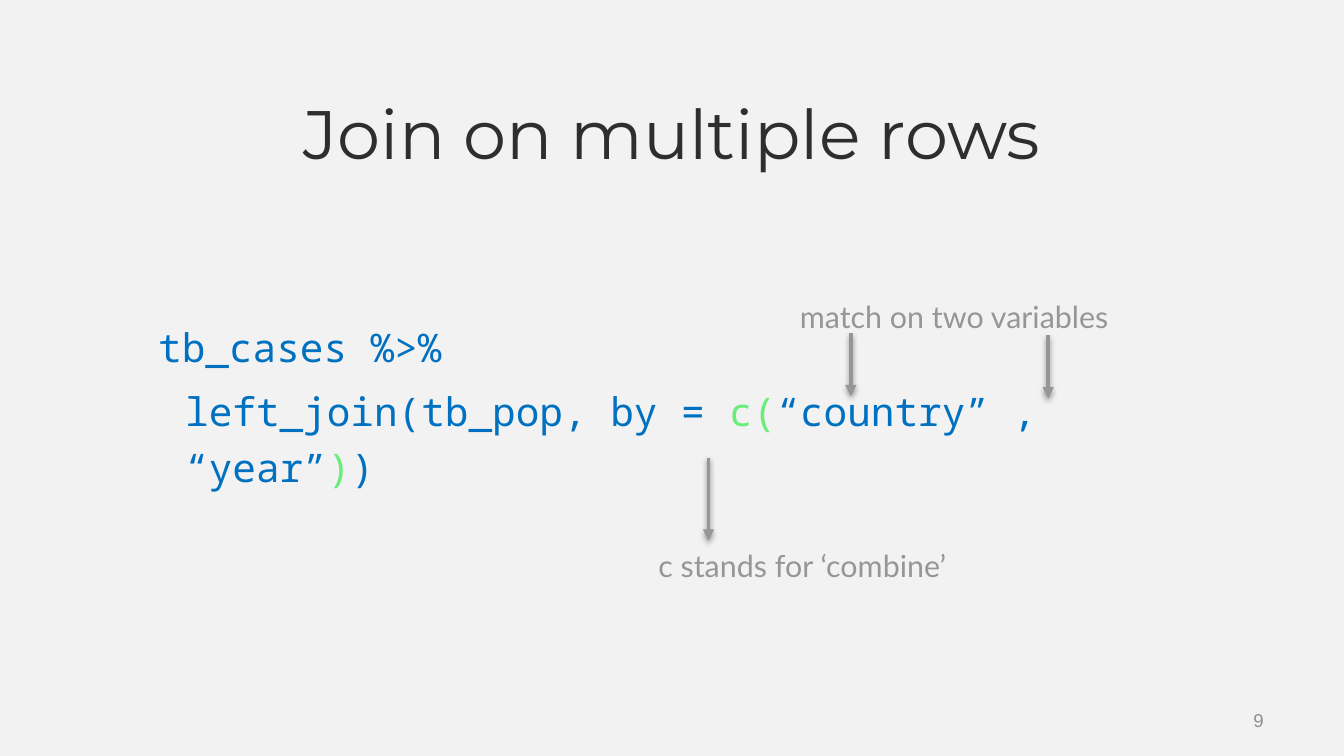
from lxml.etree import SubElement
from pptx import Presentation
from pptx.dml.color import RGBColor
from pptx.enum.shapes import MSO_CONNECTOR
from pptx.enum.text import MSO_ANCHOR, MSO_AUTO_SIZE, PP_ALIGN
from pptx.oxml.ns import qn
from pptx.util import Cm, Pt

BLUE, GREEN, GREY = "0070C0", "6BEC7B", "969696"


def color(value):
    """Turn a hex string into a colour."""
    return RGBColor.from_string(value)


def format_run(run, font_name, size, hex_color):
    """Set the font, size and colour of a run."""
    run.font.name = font_name
    run.font.size = Pt(size)
    run.font.color.rgb = color(hex_color)


def place(shape, box):
    """Move a shape to a box of left, top, width and height in centimetres."""
    shape.left, shape.top, shape.width, shape.height = map(Cm, box)


def add_title(slide, box, text):
    """Fill and place the title placeholder."""
    title = slide.shapes.title
    place(title, box)
    frame = title.text_frame
    frame.text = text
    frame.auto_size = MSO_AUTO_SIZE.NONE
    frame.vertical_anchor = MSO_ANCHOR.BOTTOM
    frame.margin_left = frame.margin_right = Cm(0.2)
    frame.margin_top = frame.margin_bottom = Cm(0.2)
    frame.paragraphs[0].alignment = PP_ALIGN.CENTER
    format_run(frame.paragraphs[0].runs[0], "Montserrat", 36.7, "2E2E2E")


def add_label(slide, box, text, font_name="Lato", size=16.3, hex_color=GREY,
              alignment=PP_ALIGN.CENTER, anchor=MSO_ANCHOR.TOP):
    """Add a single-paragraph text box."""
    frame = slide.shapes.add_textbox(*map(Cm, box)).text_frame
    frame.word_wrap = True
    frame.vertical_anchor = anchor
    frame.text = text
    frame.paragraphs[0].alignment = alignment
    format_run(frame.paragraphs[0].runs[0], font_name, size, hex_color)


def add_code(slide, box, lines):
    """Add code lines, each an indent in centimetres and coloured pieces."""
    frame = slide.shapes.add_textbox(*map(Cm, box)).text_frame
    frame.word_wrap = True
    for index, (indent, pieces) in enumerate(lines):
        paragraph = frame.add_paragraph() if index else frame.paragraphs[0]
        paragraph.line_spacing = 1.2
        paragraph.space_after = Pt(4)
        paragraph._p.get_or_add_pPr().set("marL", str(Cm(indent)))
        for text, hex_color in pieces:
            run = paragraph.add_run()
            run.text = text
            format_run(run, "Noto Sans Mono", 21.1, hex_color)


def add_down_arrow(slide, left, top, length):
    """Add a vertical arrow with a soft shadow."""
    arrow = slide.shapes.add_connector(
        MSO_CONNECTOR.STRAIGHT, Cm(left), Cm(top), Cm(left), Cm(top + length))
    arrow.line.color.rgb = color(GREY)
    arrow.line.width = Pt(2)
    SubElement(arrow.line._get_or_add_ln(), qn("a:tailEnd"), type="triangle")
    effects = SubElement(arrow._element.spPr, qn("a:effectLst"))
    shadow = SubElement(effects, qn("a:outerShdw"), blurRad=str(Pt(3.1)),
                        dist=str(Pt(1.6)), dir="5400000", rotWithShape="0")
    black = SubElement(shadow, qn("a:srgbClr"), val="000000")
    SubElement(black, qn("a:alpha"), val="38000")


def add_note(slide, box, text, arrows):
    """Add a note and its arrows, given as offsets from the note's corner."""
    add_label(slide, box, text)
    left, top = box[:2]
    for across, down, length in arrows:
        add_down_arrow(slide, left + across, top + down, length)


def build_slide(presentation):
    """Build the slide on joining by several variables."""
    slide = presentation.slides.add_slide(presentation.slide_layouts[5])
    slide.background.fill.solid()
    slide.background.fill.fore_color.rgb = color("F2F2F2")
    add_title(slide, (3.86, 2.11, 17.68, 1.37), "Join on multiple rows")
    add_code(slide, (2.74, 5.8, 19.63, 4), [
        (0, [("tb_cases %>%", BLUE)]),
        (0.51, [("left_join(tb_pop, by = ", BLUE), ("c(", GREEN),
                ("“country” , “year”", BLUE), (")", GREEN), (")", BLUE)]),
    ])
    add_note(slide, (12.7, 5.51, 10.67, 0.97), "match on two variables",
             [(3.38, 0.79, 1.19), (7.11, 0.83, 1.19)])
    add_note(slide, (9.83, 10.21, 10.67, 0.97), "c stands for ‘combine’",
             [(3.56, -1.56, 1.57)])
    add_label(slide, (21.56, 13.23, 2.57, 0.76), "9", "Arial", 10, "8F8F8F",
              PP_ALIGN.RIGHT, MSO_ANCHOR.MIDDLE)


presentation = Presentation()
presentation.slide_width = Cm(25.4)
presentation.slide_height = Cm(14.29)
build_slide(presentation)
presentation.save("out.pptx")
